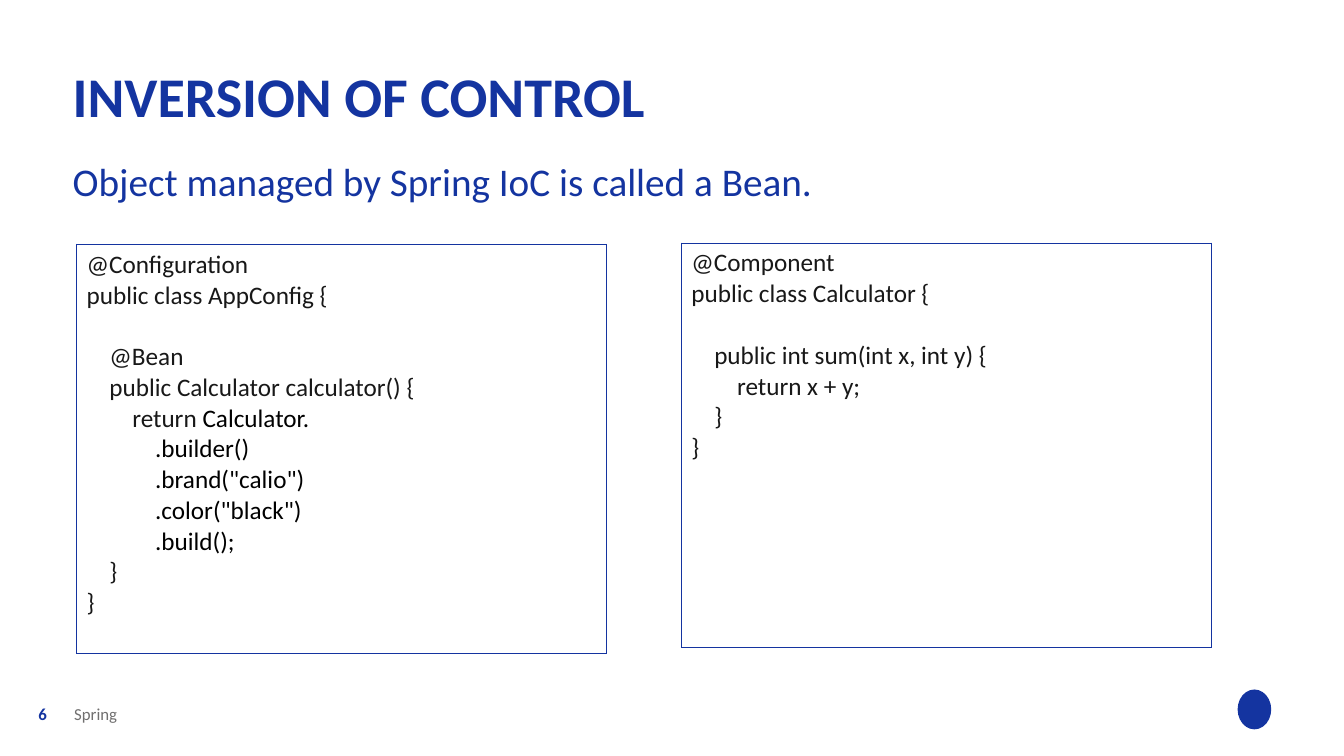
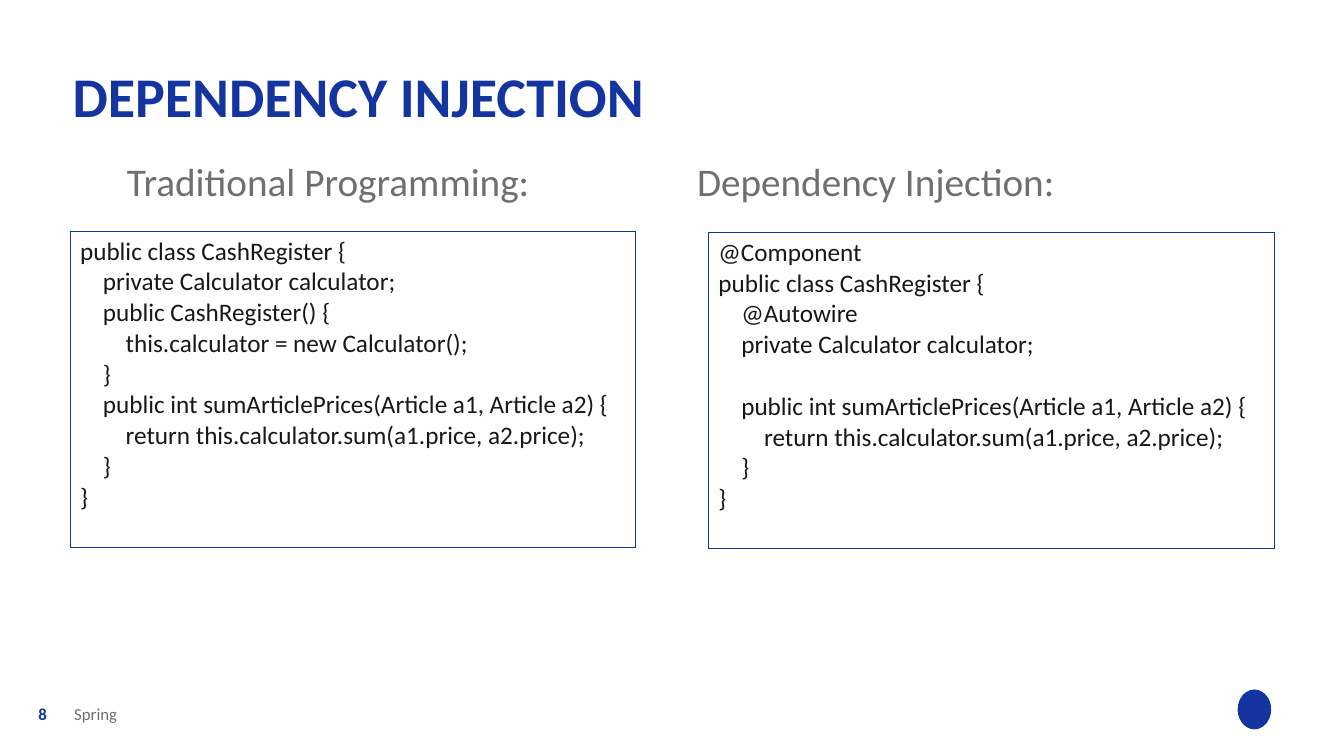
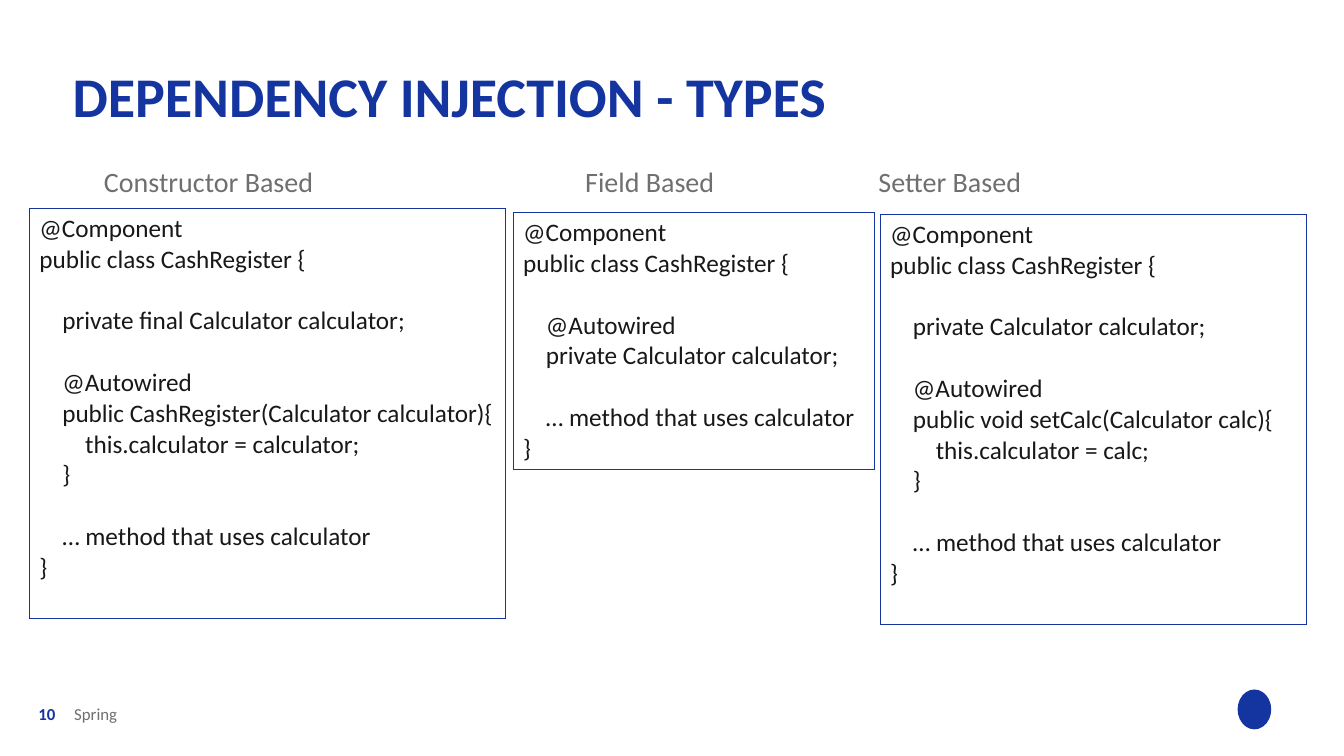
from lxml import etree
from pptx import Presentation
from pptx.dml.color import RGBColor
from pptx.enum import shapes, text
from pptx.oxml import ns
from pptx.util import Pt

FONT = "Calibri"
BLUE = RGBColor(0x14, 0x34, 0xA0)
GRAY = RGBColor(0x70, 0x6F, 0x6F)
INK = RGBColor(0x18, 0x18, 0x18)
BLACK = RGBColor(0, 0, 0)
WHITE = RGBColor(255, 255, 255)

CODE_SIZE = 18
CODE_LINE = 22
CODE_INDENT = 16.3
HEADING_LINE = 24

APP_CONFIG = """@Configuration
public class AppConfig {

    @Bean
    public Calculator calculator() {
        return |Calculator.
            |.builder()
            |.brand("calio")
            |.color("black")
            |.build();
    }
}"""

CALCULATOR = """@Component
public class Calculator {

    public int sum(int x, int y) {
        return x + y;
    }
}"""

TRADITIONAL = """public class CashRegister {
    private Calculator calculator;
    public CashRegister() {
        this.calculator = new Calculator();
    }
    public int sumArticlePrices(Article a1, Article a2) {
        return this.calculator.sum(a1.price, a2.price);
    }
}"""

INJECTED = """@Component
public class CashRegister {
    @Autowire
    private Calculator calculator;

    public int sumArticlePrices(Article a1, Article a2) {
        return this.calculator.sum(a1.price, a2.price);
    }
}"""

BY_CONSTRUCTOR = """@Component
public class CashRegister {

    private final Calculator calculator;

    @Autowired
    public CashRegister(Calculator calculator){
        this.calculator = calculator;
    }

    … method that uses calculator
}"""

BY_FIELD = """@Component
public class CashRegister {

    @Autowired
    private Calculator calculator;

    … method that uses calculator
}"""

BY_SETTER = """@Component
public class CashRegister {

    private Calculator calculator;

    @Autowired
    public void setCalc(Calculator calc){
        this.calculator = calc;
    }

    … method that uses calculator
}"""


def add_run(p, words, size, color, bold=False):
    r = p.add_run()
    r.text = words
    r.font.name = FONT
    r.font.size = Pt(size)
    r.font.bold = bold
    r.font.color.rgb = color


def add_text(s, words, left, top, width, height, size=12, color=GRAY,
             bold=False, anchor=text.MSO_ANCHOR.TOP, spacing=None):
    sp = s.shapes.add_textbox(Pt(left), Pt(top), Pt(width), Pt(height))
    tf = sp.text_frame
    tf.word_wrap = True
    tf.vertical_anchor = anchor
    tf.margin_left = tf.margin_right = tf.margin_top = tf.margin_bottom = 0
    p = tf.paragraphs[0]
    p.line_spacing = spacing
    add_run(p, words, size, color, bold)


def add_heading(s, words, left, top, width, size=28, color=GRAY):
    add_text(s, words, left, top, width, HEADING_LINE, size=size, color=color,
             spacing=Pt(HEADING_LINE))


def set_borders(cell, color, width):
    tc_pr = cell._tc.get_or_add_tcPr()
    for i, side in enumerate(("a:lnL", "a:lnR", "a:lnT", "a:lnB")):
        ln = etree.Element(ns.qn(side), w=str(Pt(width)))
        fill = etree.SubElement(ln, ns.qn("a:solidFill"))
        etree.SubElement(fill, ns.qn("a:srgbClr"), val=str(color))
        tc_pr.insert(i, ln)


def write_code(tf, code):
    p, gap = tf.paragraphs[0], 0
    for line in code.splitlines():
        if not line:
            gap += CODE_LINE
            continue
        if p.runs:
            p = tf.add_paragraph()
        words = line.lstrip()
        level = (len(line) - len(words)) // 4
        p._p.get_or_add_pPr().set("marL", str(Pt(level * CODE_INDENT)))
        p.space_before = Pt(gap)
        gap = 0
        plain, _, dark = words.partition("|")
        for part, color in ((plain, INK), (dark, BLACK)):
            if part:
                add_run(p, part, CODE_SIZE, color)


def add_code(s, code, left, top, width, height):
    table = s.shapes.add_table(1, 1, Pt(left), Pt(top), Pt(width), Pt(height)).table
    table.first_row = table.horz_banding = False
    cell = table.cell(0, 0)
    cell.fill.solid()
    cell.fill.fore_color.rgb = WHITE
    set_borders(cell, BLUE, 0.5)
    write_code(cell.text_frame, code)


def add_slide(prs, title, number):
    s = prs.slides.add_slide(prs.slide_layouts[6])
    middle = text.MSO_ANCHOR.MIDDLE
    add_text(s, title, 52, 40.3, 706, 67, size=40, color=BLUE, bold=True,
             anchor=middle, spacing=0.7)
    add_text(s, str(number), 27.4, 502, 21.6, 15, color=BLUE, bold=True, anchor=middle)
    add_text(s, "Spring", 53, 502, 702, 15, anchor=text.MSO_ANCHOR.BOTTOM)
    badge = s.shapes.add_shape(shapes.MSO_SHAPE.OVAL, Pt(884), Pt(492.5), Pt(24), Pt(28.5))
    badge.shadow.inherit = False
    badge.fill.solid()
    badge.fill.fore_color.rgb = BLUE
    badge.line.fill.background()
    return s


def main():
    prs = Presentation()
    prs.slide_width, prs.slide_height = Pt(960), Pt(540)

    s = add_slide(prs, "INVERSION OF CONTROL", 6)
    add_heading(s, "Object managed by Spring IoC is called a Bean.", 52, 121.7, 706, color=BLUE)
    add_code(s, APP_CONFIG, 54.7, 174.5, 378.7, 292.5)
    add_code(s, CALCULATOR, 486.7, 173.5, 378.7, 288.7)

    s = add_slide(prs, "DEPENDENCY INJECTION", 8)
    add_heading(s, "Traditional Programming:", 90.7, 121.7, 360)
    add_heading(s, "Dependency Injection:", 498, 121.7, 360)
    add_code(s, TRADITIONAL, 50, 165, 404, 226)
    add_code(s, INJECTED, 506, 166, 404, 226)

    s = add_slide(prs, "DEPENDENCY INJECTION - TYPES", 10)
    for heading, left in (("Constructor Based", 74.3), ("Field Based", 418),
                          ("Setter Based", 627.5)):
        add_heading(s, heading, left, 117.4, 200, size=20)
    add_code(s, BY_CONSTRUCTOR, 21, 149, 340, 292.5)
    add_code(s, BY_SETTER, 628.6, 153.3, 304.6, 292.5)
    add_code(s, BY_FIELD, 366.5, 152, 258, 183)

    prs.save("out.pptx")


main()
